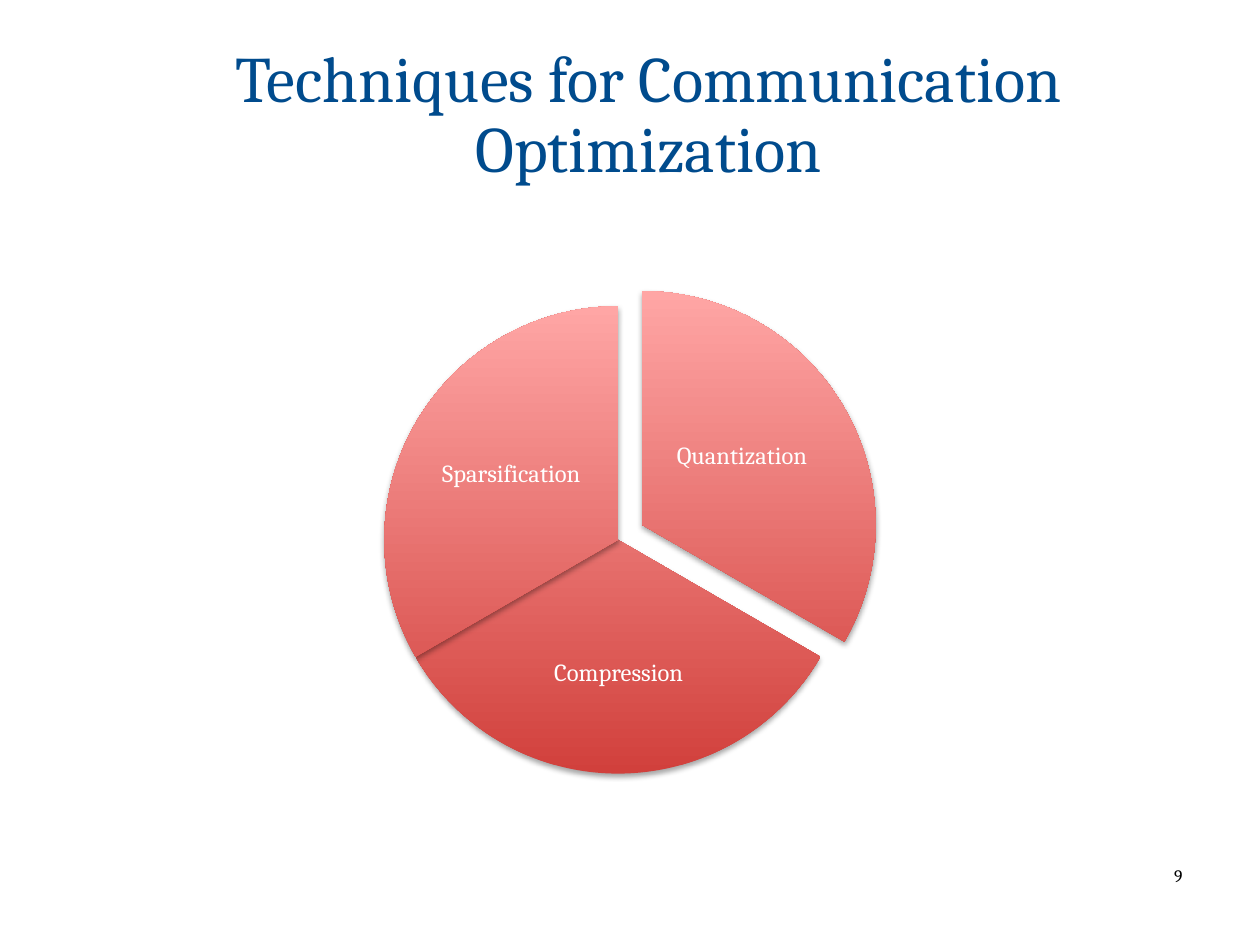
from dataclasses import dataclass

import pptx
import pptx.dml.color
import pptx.enum.shapes
import pptx.enum.text
import pptx.oxml
import pptx.oxml.ns
import pptx.util
from pptx.util import Inches

BLUE = pptx.dml.color.RGBColor(0x00, 0x4B, 0x8D)
DARK_RED = pptx.dml.color.RGBColor(0xD1, 0x40, 0x3C)
LIGHT_RED = pptx.dml.color.RGBColor(0xFF, 0xA6, 0xA5)
WHITE = pptx.dml.color.RGBColor(0xFF, 0xFF, 0xFF)
BLACK = pptx.dml.color.RGBColor(0x00, 0x00, 0x00)
FONT = "Cambria"
DIAMETER = 3.71
UNITS_PER_DEGREE = 0.6  # pie adjustment for one degree
CENTER = pptx.enum.text.PP_ALIGN.CENTER
MIDDLE = pptx.enum.text.MSO_ANCHOR.MIDDLE

SHADOW = (
    f'<a:effectLst {pptx.oxml.ns.nsdecls("a")}>'
    '<a:outerShdw blurRad="40000" dist="23000" dir="5400000" rotWithShape="0">'
    '<a:srgbClr val="000000"><a:alpha val="35000"/></a:srgbClr>'
    "</a:outerShdw></a:effectLst>"
)


@dataclass
class Slice:
    label: str
    start: float
    corner: tuple[float, float]
    label_box: tuple[float, float, float, float]


SLICES = [
    Slice("Quantization", 270, (3.24, 2.31), (5.26, 3.0, 1.26, 1.24)),
    Slice("Compression", 30, (3.05, 2.43), (4.07, 4.77, 1.68, 1.15)),
    Slice("Sparsification ", 150, (3.05, 2.43), (3.45, 3.15, 1.26, 1.24)),
]


def add_text(s, text: str, box: tuple, *, size: float, color, align=None,
             anchor=None, spacing=None, inset=None, wrap: bool = True) -> None:
    tf = s.shapes.add_textbox(*map(Inches, box)).text_frame
    tf.word_wrap = wrap
    if anchor is not None:
        tf.vertical_anchor = anchor
    if inset is not None:
        tf.margin_left = tf.margin_right = Inches(inset)
        tf.margin_top = tf.margin_bottom = Inches(inset)
    p = tf.paragraphs[0]
    p.alignment = align
    p.line_spacing = spacing
    r = p.add_run()
    r.text = text
    r.font.name = FONT
    r.font.size = pptx.util.Pt(size)
    r.font.color.rgb = color


def add_slice(s, item: Slice, sweep: float) -> None:
    left, top = map(Inches, item.corner)
    sp = s.shapes.add_shape(pptx.enum.shapes.MSO_SHAPE.PIE, left, top,
                            Inches(DIAMETER), Inches(DIAMETER))
    sp.adjustments[0] = item.start * UNITS_PER_DEGREE
    sp.adjustments[1] = (item.start + sweep) % 360 * UNITS_PER_DEGREE
    sp.fill.gradient()
    sp.fill.gradient_angle = 90
    for stop, color in zip(sp.fill.gradient_stops, (DARK_RED, LIGHT_RED)):
        stop.color.rgb = color
    sp.line.fill.background()
    sp._element.spPr.append(pptx.oxml.parse_xml(SHADOW))
    add_text(s, item.label, item.label_box, size=14, color=WHITE,
             align=CENTER, anchor=MIDDLE, spacing=0.9, inset=0.02)


def main() -> None:
    prs = pptx.Presentation()
    prs.slide_width, prs.slide_height = Inches(10), Inches(7.5)
    s = prs.slides.add_slide(prs.slide_layouts[6])
    add_text(s, "Techniques for Communication Optimization",
             (0.79, 0.3, 8.71, 1.25), size=37, color=BLUE,
             align=CENTER, anchor=MIDDLE, spacing=0.9)
    for item in SLICES:
        add_slice(s, item, 360 / len(SLICES))
    add_text(s, "9", (9.22, 6.82, 0.28, 0.27), size=10, color=BLACK, wrap=False)
    prs.save("out.pptx")


if __name__ == "__main__":
    main()
